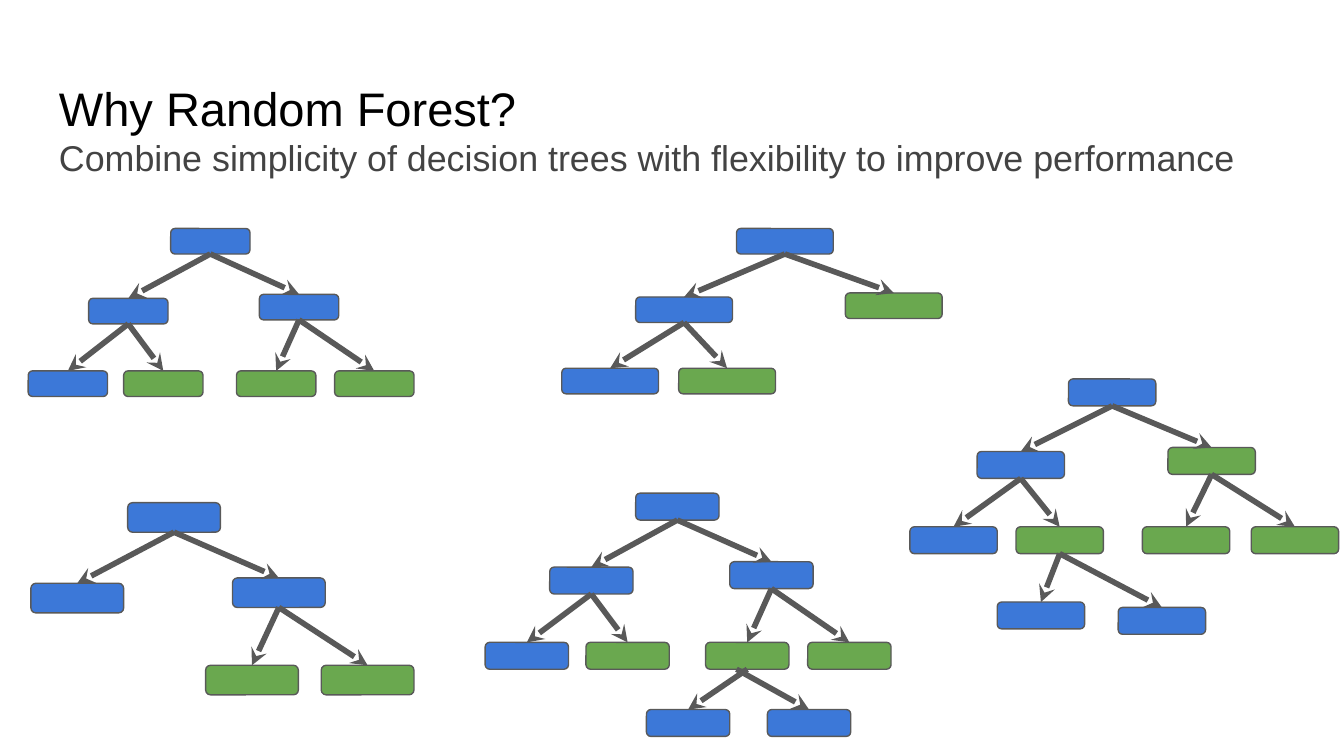
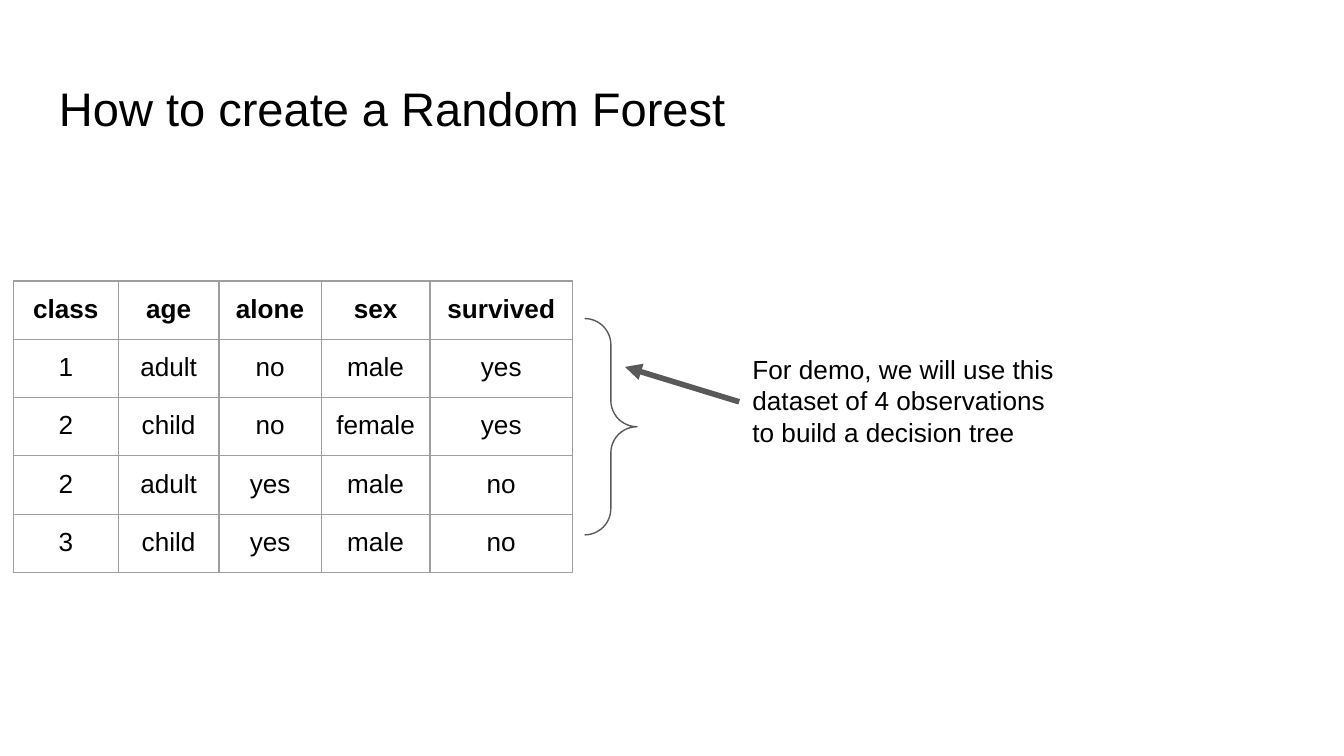
from typing import Any, NamedTuple

from pptx import Presentation
from pptx.dml.color import RGBColor as Rgb
from pptx.enum.shapes import MSO_CONNECTOR as Link, MSO_SHAPE as Form
from pptx.enum.text import MSO_ANCHOR as Anchor, PP_ALIGN as Align
from pptx.oxml.ns import qn
from pptx.slide import Slide
from pptx.util import Inches, Pt
from lxml.etree import SubElement as Sub

WIDE = 10
HIGH = WIDE * 9 / 16
FONT = "Arial"
BLACK, GREY, EDGE, RULE = "000000", "434343", "595959", "9E9E9E"
BLUE, GREEN = "3C78D8", "6AA84F"
SIDES = ("margin_left", "margin_right", "margin_top", "margin_bottom")
INSET = {side: Inches(0.1) for side in SIDES}
FRAME = {**INSET, "word_wrap": True, "vertical_anchor": Anchor.TOP}
PLAIN = {"first_row": False, "horz_banding": False}


class Text(NamedTuple):
    """Words with their size, colour and weight."""
    words: str
    size: float
    hue: str = BLACK
    bold: bool = False


class Box(NamedTuple):
    """Place and size in inches."""
    left: float
    top: float
    width: float
    height: float


class Node(NamedTuple):
    """A tree node, the index of its parent and the shift of its arrow start."""
    left: float
    top: float
    hue: str
    root: int = -1
    shift: float = 0


class Tree(NamedTuple):
    """Nodes of one size, parents before children."""
    width: float
    height: float
    nodes: list[Node]


TREES = [
    Tree(0.59, 0.19, [
        Node(1.27, 1.7, BLUE),
        Node(0.66, 2.22, BLUE, 0), Node(1.93, 2.19, BLUE, 0),
        Node(0.21, 2.76, BLUE, 1), Node(0.92, 2.76, GREEN, 1),
        Node(1.76, 2.76, GREEN, 2), Node(2.49, 2.76, GREEN, 2)]),
    Tree(0.72, 0.19, [
        Node(5.48, 1.7, BLUE),
        Node(4.73, 2.21, BLUE, 0), Node(6.29, 2.18, GREEN, 0),
        Node(4.18, 2.74, BLUE, 1), Node(5.05, 2.74, GREEN, 1)]),
    Tree(0.69, 0.22, [
        Node(0.95, 3.74, BLUE),
        Node(0.23, 4.34, BLUE, 0), Node(1.73, 4.3, BLUE, 0),
        Node(1.53, 4.95, GREEN, 2), Node(2.39, 4.95, GREEN, 2)]),
    Tree(0.62, 0.2, [
        Node(4.73, 3.67, BLUE),
        Node(4.09, 4.22, BLUE, 0), Node(5.43, 4.18, BLUE, 0),
        Node(3.61, 4.78, BLUE, 1), Node(4.36, 4.78, GREEN, 1),
        Node(5.25, 4.78, GREEN, 2), Node(6.01, 4.78, GREEN, 2),
        Node(4.81, 5.28, BLUE, 5), Node(5.71, 5.28, BLUE, 5, -0.08)]),
    Tree(0.65, 0.2, [
        Node(7.95, 2.82, BLUE),
        Node(7.27, 3.36, BLUE, 0), Node(8.69, 3.33, GREEN, 0),
        Node(6.77, 3.92, BLUE, 1), Node(7.56, 3.92, GREEN, 1),
        Node(8.5, 3.92, GREEN, 2), Node(9.31, 3.92, GREEN, 2),
        Node(7.42, 4.48, BLUE, 4), Node(8.32, 4.52, BLUE, 4)]),
]
COLS = [0.78, 0.75, 0.76, 0.81, 1.06]
ROW = 0.42
DATA = [
    ["class", "age", "alone", "sex", "survived"],
    ["1", "adult", "no", "male", "yes"],
    ["2", "child", "no", "female", "yes"],
    ["2", "adult", "yes", "male", "no"],
    ["3", "child", "yes", "male", "no"],
]


def style(item: Any, look: dict[str, Any]) -> None:
    """Set each format value on an item."""
    for name, value in look.items():
        setattr(item, name, value)


def paint(hue: str) -> Rgb:
    """Turn a hex string into a colour."""
    return Rgb.from_string(hue)


def fill(item: Any, hue: str) -> None:
    """Give a shape or font a solid fill."""
    item.fill.solid()
    item.fill.fore_color.rgb = paint(hue)


def place(box: Box) -> list[int]:
    """Turn a box into lengths."""
    return [Inches(side) for side in box]


def write(para: Any, text: Text, align: Align = Align.LEFT) -> None:
    """Put styled words in a paragraph."""
    para.alignment = align
    run = para.add_run()
    run.text = text.words
    style(run.font, {"name": FONT, "size": Pt(text.size), "bold": text.bold})
    fill(run.font, text.hue)


def add_text(slide: Slide, box: Box, *texts: Text) -> None:
    """Add a text box with one paragraph per text."""
    frame = slide.shapes.add_textbox(*place(box)).text_frame
    style(frame, FRAME)
    for spot, text in enumerate(texts):
        write(frame.add_paragraph() if spot else frame.paragraphs[0], text)


def add_title(slide: Slide, title: str, *more: Text) -> None:
    """Add the title with any lines below it."""
    add_text(slide, Box(0.34, 0.49, 9.32, 0.63), Text(title, 25.2), *more)


def add_form(slide: Slide, form: Form, box: Box, hue: str = "") -> Any:
    """Add an outlined shape, filled when a colour is given."""
    shape = slide.shapes.add_shape(form, *place(box))
    shape.shadow.inherit = False
    if hue:
        fill(shape, hue)
    else:
        shape.fill.background()
    shape.line.color.rgb = paint(EDGE)
    shape.line.width = Pt(0.75)
    return shape


def add_arrow(slide: Slide, start: tuple[float, float],
              end: tuple[float, float], head: str) -> None:
    """Add a thick arrow between two points."""
    ends = [Inches(side) for side in (*start, *end)]
    arrow = slide.shapes.add_connector(Link.STRAIGHT, *ends)
    arrow.line.color.rgb = paint(EDGE)
    arrow.line.width = Pt(3)
    Sub(arrow.line._get_or_add_ln(), qn("a:tailEnd"), type=head)
    Sub(arrow._element.spPr, qn("a:effectLst"))


def add_tree(slide: Slide, tree: Tree) -> None:
    """Add the nodes of a tree, then an arrow to each child."""
    for node in tree.nodes:
        box = Box(node.left, node.top, tree.width, tree.height)
        add_form(slide, Form.ROUNDED_RECTANGLE, box, node.hue)
    half = tree.width / 2
    for node in tree.nodes:
        if node.root >= 0:
            root = tree.nodes[node.root]
            start = (root.left + half + node.shift, root.top + tree.height)
            add_arrow(slide, start, (node.left + half, node.top), "stealth")


def rule(cell: Any) -> None:
    """Draw all four borders of a cell."""
    props = cell._tc.get_or_add_tcPr()
    for spot, side in enumerate(("a:lnL", "a:lnR", "a:lnT", "a:lnB")):
        line = props.makeelement(qn(side), {"w": str(Pt(0.75))})
        props.insert(spot, line)
        Sub(Sub(line, qn("a:solidFill")), qn("a:srgbClr"), val=RULE)


def add_grid(slide: Slide) -> None:
    """Add the data table with a bold top row."""
    box = Box(0.1, 2.09, sum(COLS), ROW * len(DATA))
    table = slide.shapes.add_table(len(DATA), len(COLS), *place(box)).table
    style(table, PLAIN)
    for col, width in zip(table.columns, COLS):
        col.width = Inches(width)
    for r, row in enumerate(DATA):
        table.rows[r].height = Inches(ROW)
        for c, words in enumerate(row):
            cell = table.cell(r, c)
            style(cell, INSET)
            cell.fill.background()
            rule(cell)
            para = cell.text_frame.paragraphs[0]
            write(para, Text(words, 14, bold=r == 0), Align.CENTER)


def show_why(slide: Slide) -> None:
    """Build the slide of trees."""
    add_title(slide, "Why Random Forest?", Text(
        "Combine simplicity of decision trees with flexibility "
        "to improve performance", 19.2, GREY))
    for tree in TREES:
        add_tree(slide, tree)


def show_how(slide: Slide) -> None:
    """Build the slide of the data set."""
    add_title(slide, "How to create a Random Forest")
    add_text(slide, Box(5.5, 2.53, 2.55, 0.91), Text(
        "For demo, we will use this dataset of 4 observations "
        "to build a decision tree", 14))
    brace = add_form(slide, Form.RIGHT_BRACE, Box(4.35, 2.37, 0.39, 1.61))
    brace.adjustments[0] = 0.5
    add_arrow(slide, (5.5, 2.99), (4.65, 2.73), "triangle")
    add_grid(slide)


def main() -> None:
    """Build and save the deck."""
    deck = Presentation()
    style(deck, {"slide_width": Inches(WIDE), "slide_height": Inches(HIGH)})
    for show in (show_why, show_how):
        show(deck.slides.add_slide(deck.slide_layouts[6]))
    deck.save("out.pptx")


if __name__ == "__main__":
    main()
